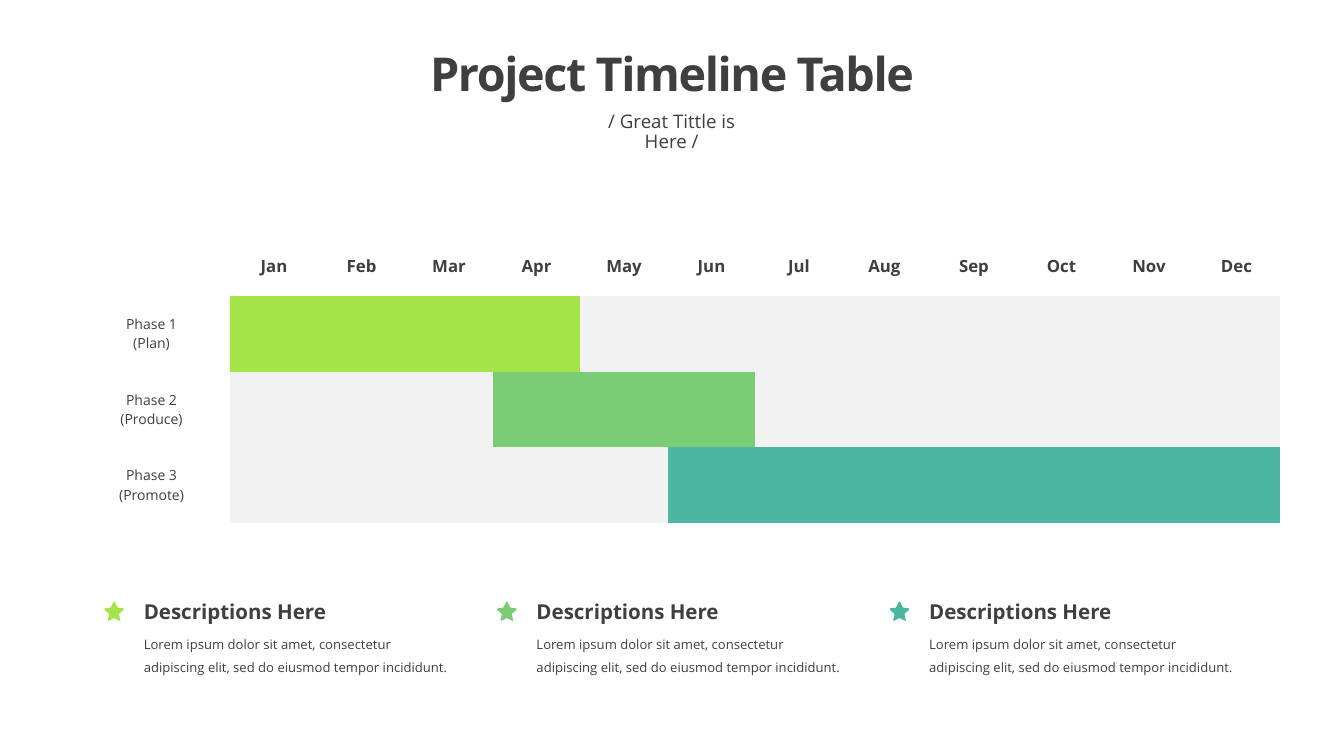
from dataclasses import dataclass

from pptx import Presentation
from pptx.dml.color import RGBColor
from pptx.enum.text import MSO_ANCHOR, MSO_AUTO_SIZE, PP_ALIGN
from pptx.util import Pt

LEFT, CENTER = PP_ALIGN.LEFT, PP_ALIGN.CENTER
MIDDLE = MSO_ANCHOR.MIDDLE
GROW = MSO_AUTO_SIZE.SHAPE_TO_FIT_TEXT

PX = 9525
NO_GRID_STYLE = "{2D5ABB26-0587-4C30-8999-92F81FD0307C}"


@dataclass(frozen=True)
class Theme:
    font: str = "Open Sans"
    ink: str = "3F3F3F"
    paper: str = "FFFFFF"
    track: str = "F2F2F2"
    lime: str = "A4E448"
    green: str = "7ACD75"
    teal: str = "4CB6A2"
    title_size: int = 50
    subtitle_size: int = 20
    month_size: int = 18
    phase_size: int = 15
    heading_size: int = 22
    body_size: int = 14


THEME = Theme()


@dataclass(frozen=True)
class Box:
    left: int
    top: int
    width: int
    height: int


@dataclass(frozen=True)
class TextStyle:
    size: int
    bold: bool = False
    align: PP_ALIGN = LEFT
    line_spacing: float | None = None
    tracking: int = 0  # hundredths of a point


@dataclass(frozen=True)
class Phase:
    name: str
    goal: str
    first_month: int
    last_month: int
    color: str


@dataclass(frozen=True)
class Description:
    heading: str
    body: str
    color: str


TITLE = TextStyle(THEME.title_size, bold=True, align=CENTER, tracking=-150)
SUBTITLE = TextStyle(THEME.subtitle_size, align=CENTER, line_spacing=0.9)
MONTH = TextStyle(THEME.month_size, bold=True, align=CENTER)
PHASE = TextStyle(THEME.phase_size, align=CENTER)
HEADING = TextStyle(THEME.heading_size, bold=True)
BODY = TextStyle(THEME.body_size, line_spacing=1.5)

MONTHS = ["Jan", "Feb", "Mar", "Apr", "May", "Jun",
          "Jul", "Aug ", "Sep", "Oct", "Nov", "Dec"]
PHASES = [
    Phase("Phase 1", "(Plan)", 1, 4, THEME.lime),
    Phase("Phase 2", "(Produce)", 4, 6, THEME.green),
    Phase("Phase 3", "(Promote)", 6, 12, THEME.teal),
]
LOREM = ("Lorem ipsum dolor sit amet, consectetur adipiscing elit, "
         "sed do eiusmod tempor incididunt.")
DESCRIPTIONS = [Description("Descriptions Here", LOREM, phase.color)
                for phase in PHASES]

TABLE_LEFT, TABLE_TOP = 104, 337
LABEL_WIDTH, MONTH_WIDTH = 225, 125
HEADER_HEIGHT, PHASE_HEIGHT = 86, 108
CELL_MARGIN_X, CELL_MARGIN_Y = 11, 6

DESCRIPTION_LEFT, DESCRIPTION_PITCH = 196, 561
HEADING_TOP, BODY_TOP, STAR_TOP = 851, 893, 859
STAR_OFFSET = 33

# Right half of the blunt-tipped star, measured from its top centre
STAR_HALF = [(1, 1), (5, 9), (13, 10), (14, 12), (7, 18), (9, 27), (8, 28)]
STAR = [(0, 0), *STAR_HALF, (0, 24), *[(-x, y) for x, y in reversed(STAR_HALF)]]


def write_lines(frame, lines: list[str], style: TextStyle) -> None:
    for index, line in enumerate(lines):
        para = frame.add_paragraph() if index else frame.paragraphs[0]
        para.alignment = style.align
        if style.line_spacing:
            para.line_spacing = style.line_spacing
        span = para.add_run()
        span.text = line
        span.font.name = THEME.font
        span.font.size = Pt(style.size)
        span.font.bold = style.bold
        span.font.color.rgb = RGBColor.from_string(THEME.ink)
        if style.tracking:
            span.font._element.set("spc", str(style.tracking))


def add_text(page, box: Box, text: str, style: TextStyle) -> None:
    shape = page.shapes.add_textbox(box.left * PX, box.top * PX,
                                    box.width * PX, box.height * PX)
    frame = shape.text_frame
    frame.word_wrap = True
    frame.auto_size = GROW
    write_lines(frame, [text], style)


def fill_cell(cell, color: str, lines: list[str], style: TextStyle) -> None:
    cell.fill.solid()
    cell.fill.fore_color.rgb = RGBColor.from_string(color)
    cell.vertical_anchor = MIDDLE
    cell.margin_left = cell.margin_right = CELL_MARGIN_X * PX
    cell.margin_top = cell.margin_bottom = CELL_MARGIN_Y * PX
    write_lines(cell.text_frame, lines, style)


def add_timeline(page) -> None:
    widths = [LABEL_WIDTH] + [MONTH_WIDTH] * len(MONTHS)
    heights = [HEADER_HEIGHT] + [PHASE_HEIGHT] * len(PHASES)
    table = page.shapes.add_table(
        len(heights), len(widths), TABLE_LEFT * PX, TABLE_TOP * PX,
        sum(widths) * PX, sum(heights) * PX).table
    table.first_row = table.horz_banding = False
    table._tbl.tblPr[0].text = NO_GRID_STYLE
    for column, width in zip(table.columns, widths):
        column.width = width * PX
    for row, height in zip(table.rows, heights):
        row.height = height * PX

    fill_cell(table.cell(0, 0), THEME.paper, [], MONTH)
    for month, name in enumerate(MONTHS, 1):
        fill_cell(table.cell(0, month), THEME.paper, [name], MONTH)
    for row, phase in enumerate(PHASES, 1):
        fill_cell(table.cell(row, 0), THEME.paper, [phase.name, phase.goal], PHASE)
        for month in range(1, len(MONTHS) + 1):
            active = phase.first_month <= month <= phase.last_month
            fill_cell(table.cell(row, month),
                      phase.color if active else THEME.track, [], PHASE)


def add_star(page, center: int, top: int, color: str) -> None:
    points = [(center + x, top + y) for x, y in STAR]
    builder = page.shapes.build_freeform(*points[0], scale=PX)
    builder.add_line_segments(points[1:], close=True)
    star = builder.convert_to_shape()
    star.shadow.inherit = False
    star.fill.solid()
    star.fill.fore_color.rgb = RGBColor.from_string(color)
    star.line.fill.background()


def add_description(page, left: int, item: Description) -> None:
    add_text(page, Box(left, BODY_TOP, 453, 74), item.body, BODY)
    add_text(page, Box(left, HEADING_TOP, 292, 45), item.heading, HEADING)
    add_star(page, left - STAR_OFFSET, STAR_TOP, item.color)


def main() -> None:
    deck = Presentation()
    deck.slide_width, deck.slide_height = 1920 * PX, 1080 * PX
    page = deck.slides.add_slide(deck.slide_layouts[6])
    add_timeline(page)
    for index, item in enumerate(DESCRIPTIONS):
        add_description(page, DESCRIPTION_LEFT + index * DESCRIPTION_PITCH, item)
    add_text(page, Box(821, 156, 277, 42), "/ Great Tittle is Here /", SUBTITLE)
    add_text(page, Box(590, 59, 740, 90), "Project Timeline Table", TITLE)
    deck.save("out.pptx")


if __name__ == "__main__":
    main()
